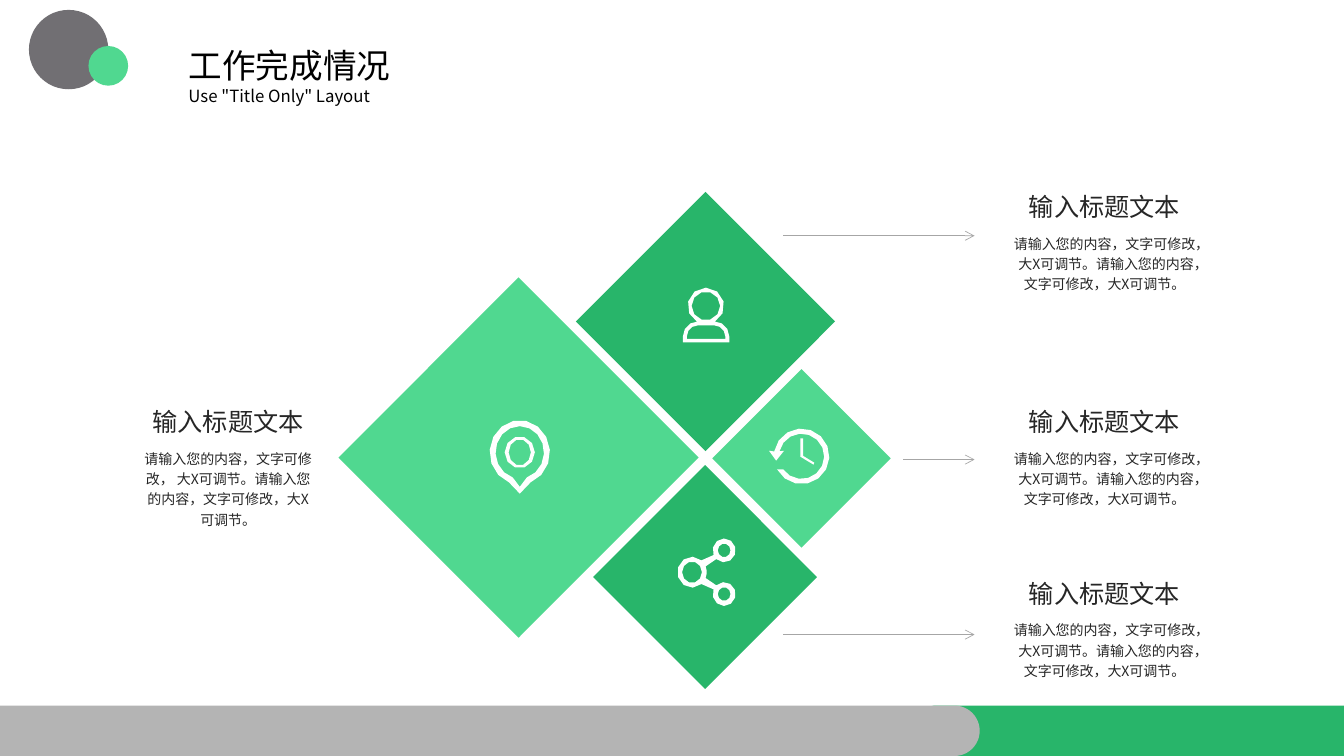
import math

import lxml.etree
import pptx
import pptx.dml.color
import pptx.enum.shapes
import pptx.enum.text
import pptx.oxml.ns
import pptx.util

Cm = pptx.util.Cm
KIND = pptx.enum.shapes.MSO_SHAPE
ALIGN = pptx.enum.text.PP_ALIGN
FONT = "Noto Sans CJK SC"
GREEN, MINT, WHITE = "28B56A", "50D890", "FFFFFF"
HEAD = "输入标题文本"
BODY = "请输入您的内容，文字可修改， 大X可调节。请输入您的内容，文字可修改，大X可调节。"


def tint(text):
    return pptx.dml.color.RGBColor.from_string(text)


def child(node, tag, **attrs):
    return lxml.etree.SubElement(node, pptx.oxml.ns.qn(tag), **attrs)


def paint(shape, fill):
    shape.fill.solid()
    shape.fill.fore_color.rgb = tint(fill)
    shape.line.fill.background()
    shape.shadow.inherit = False
    return shape


def block(slide, kind, x, y, w, h, fill):
    return paint(slide.shapes.add_shape(kind, Cm(x), Cm(y), Cm(w), Cm(h)), fill)


def write(shape, text, size, color, align=ALIGN.LEFT, inset=None, space=None):
    frame = shape.text_frame
    frame.text = text
    frame.word_wrap = True
    frame.auto_size = pptx.enum.text.MSO_AUTO_SIZE.NONE
    frame.vertical_anchor = pptx.enum.text.MSO_ANCHOR.TOP
    if inset is not None:
        frame.margin_left = frame.margin_right = Cm(inset)
        frame.margin_top = frame.margin_bottom = Cm(inset)
    para = frame.paragraphs[0]
    para.alignment = align
    para.line_spacing = space
    font = para.runs[0].font
    font.name, font.size = FONT, pptx.util.Pt(size)
    font.color.rgb = tint(color)
    child(para.runs[0]._r.get_or_add_rPr(), "a:ea", typeface=FONT)


def header(slide, x, y, w):
    block(slide, KIND.FLOWCHART_CONNECTOR, 0.73, 0.25, 2, 2, "716F73")
    block(slide, KIND.FLOWCHART_CONNECTOR, 2.23, 1.16, 1, 1, MINT)
    title = slide.shapes.title
    title.left, title.top, title.width, title.height = Cm(x), Cm(y), Cm(w), Cm(1.27)
    write(title, "工作完成情况", 24, "000000")
    under = slide.shapes.add_textbox(Cm(x), Cm(y + 1.03), Cm(w), Cm(0.76))
    write(under, 'Use "Title Only" Layout', 12, "000000")


def footer(slide, y, h):
    for x, w, fill in ((22.96, 12.14, GREEN), (-1.17, 25.86, "B4B4B4")):
        block(slide, KIND.ROUNDED_RECTANGLE, x, y, w, h, fill).adjustments[0] = 0.5


def note(slide, x, y, w, lines):
    head = slide.shapes.add_textbox(Cm(x + (w - 4.14) / 2), Cm(y), Cm(4.14), Cm(0.76))
    write(head, HEAD, 18, "262626", ALIGN.CENTER, 0)
    body = slide.shapes.add_textbox(Cm(x), Cm(y + 1.02), Cm(w), Cm(0.52 * lines))
    write(body, BODY, 10, "262626", ALIGN.CENTER, 0, 1.2)


def arrow(slide, x, y, tip):
    line = slide.shapes.add_connector(
        pptx.enum.shapes.MSO_CONNECTOR.STRAIGHT, Cm(tip), Cm(y), Cm(x), Cm(y))
    line.line.color.rgb = tint("A6A6A6")
    line.line.width = pptx.util.Pt(0.5)
    child(line.line._get_or_add_ln(), "a:headEnd", type="arrow")
    child(line._element.spPr, "a:effectLst")


def arc(x, y, rx, ry, start=0, end=360):
    """Points along an ellipse, in degrees clockwise from the right."""
    step = 24 if rx > 0.5 else 36
    count = max(3, round(abs(end - start) / step))
    turns = [math.radians(start + (end - start) * i / count) for i in range(count + 1)]
    return [(x + rx * math.cos(t), y + ry * math.sin(t)) for t in turns]


def person():
    outer = (arc(0.58, 0.45, 0.46, 0.46, 118, 422)
             + arc(0.79, 1.22, 0.38, 0.38, 270, 360) + [(1.17, 1.37), (0, 1.37)]
             + arc(0.38, 1.22, 0.38, 0.38, 180, 270))
    chest = (arc(0.38, 1.22, 0.28, 0.28, 180, 270)
             + arc(0.79, 1.22, 0.28, 0.28, 270, 360) + [(1.07, 1.28), (0.1, 1.28)])
    return [outer, arc(0.58, 0.45, 0.36, 0.36), chest]


def clock():
    ring = (arc(0.82, 0.7, 0.7, 0.7, 152, -170)
            + [(0, 0.56), (0.18, 0.81), (0.38, 0.56)]
            + arc(0.82, 0.7, 0.57, 0.57, -167, 145))
    hands = [(0.79, 0.25), (0.79, 0.71), (1.12, 0.91),
             (1.14, 0.86), (0.86, 0.69), (0.86, 0.25)]
    return [ring, hands]


def pin():
    x, y = 0.76, 0.81
    return [arc(x, y, 0.76, 0.81, 111, 429) + [(x, 1.85)],
            arc(x, y, 0.61, 0.66, 107, 433) + [(x, 1.68)],
            arc(x, y, 0.38, 0.4), arc(x, y, 0.28, 0.33)]


def share():
    hub, top, low = (0.37, 0.85), (1.18, 0.3), (1.18, 1.4)
    outer = (arc(*hub, 0.37, 0.39, 50, 310) + arc(*top, 0.29, 0.3, 157, 493)
             + arc(*hub, 0.37, 0.39, 338, 382) + arc(*low, 0.29, 0.3, 227, 563))
    return [outer, arc(*hub, 0.25, 0.27), arc(*top, 0.16, 0.17), arc(*low, 0.16, 0.17)]


def icon(slide, x, y, loops):
    pen = None
    for loop in loops:
        dots = [(Cm(x + dx), Cm(y + dy)) for dx, dy in loop]
        if pen is None:
            pen = slide.shapes.build_freeform(*dots[0])
        else:
            pen.move_to(*dots[0])
        pen.add_line_segments(dots[1:], close=True)
    paint(pen.convert_to_shape(), WHITE)


def tile(slide, x, y, side, fill, mark, dx, dy):
    """Square on its corner, centred on x, y, with its icon offset from there."""
    half = side / 2
    block(slide, KIND.RECTANGLE, x - half, y - half, side, side, fill).rotation = 315
    icon(slide, x + dx, y + dy, mark)


def main():
    deck = pptx.Presentation()
    deck.slide_width, deck.slide_height = Cm(33.87), Cm(19.05)
    slide = deck.slides.add_slide(deck.slide_layouts[5])
    footer(slide, 17.78, 1.27)
    header(slide, 4.5, 1, 9.91)
    tile(slide, 13.07, 11.53, 6.42, MINT, pin(), -0.73, -0.94)
    tile(slide, 17.78, 8.1, 4.62, GREEN, person(), -0.57, -0.84)
    tile(slide, 20.2, 11.55, 3.18, MINT, clock(), -0.82, -0.75)
    tile(slide, 17.77, 14.54, 3.99, GREEN, share(), -0.7, -0.97)
    for x, y in ((19.74, 5.94), (22.76, 11.58), (19.74, 15.99)):
        arrow(slide, x, y, 24.56)
    for y in (4.82, 10.25, 14.57):
        note(slide, 25.5, y, 4.67, 3)
    note(slide, 3.58, 10.25, 4.34, 4)
    deck.save("out.pptx")


if __name__ == "__main__":
    main()
